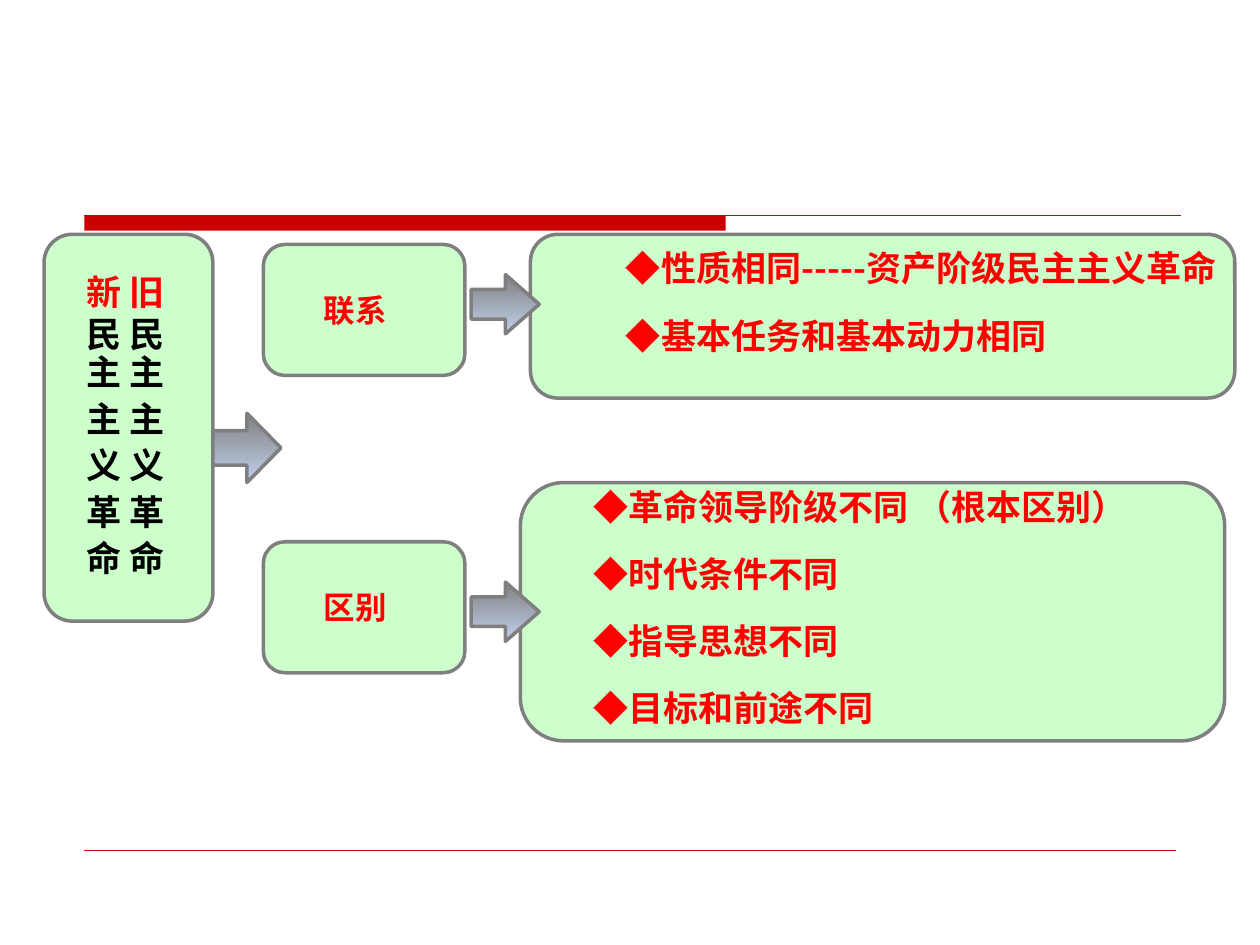
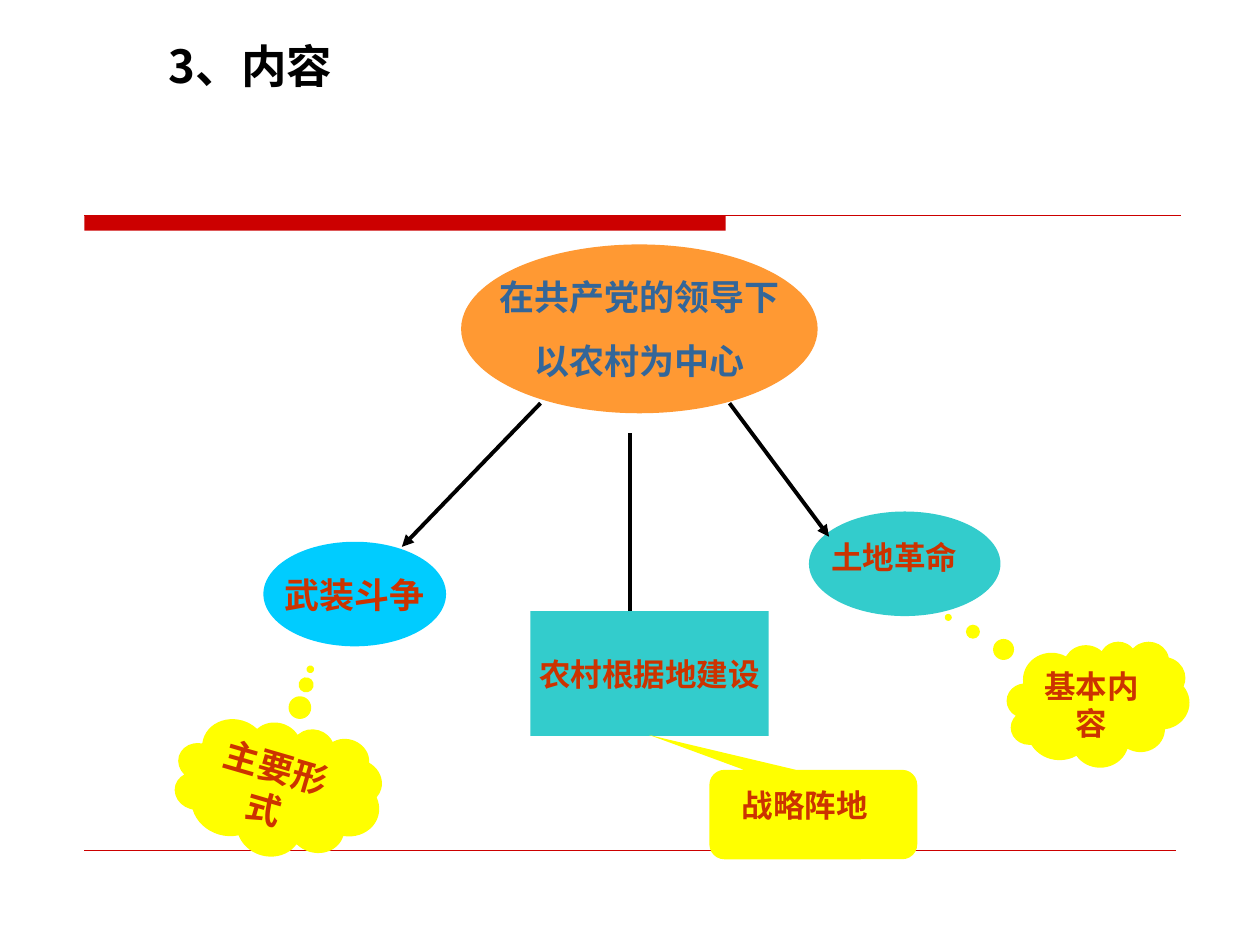
from lxml import etree
from pptx import Presentation
from pptx.dml.color import RGBColor
from pptx.enum.shapes import MSO_CONNECTOR, MSO_SHAPE
from pptx.enum.text import MSO_ANCHOR, PP_ALIGN
from pptx.oxml.ns import qn
from pptx.util import Inches, Pt

BAND_RED = RGBColor(0xCC, 0x00, 0x00)
RED = RGBColor(0xFF, 0x00, 0x00)
BRICK = RGBColor(0xCC, 0x33, 0x00)
BLACK = RGBColor(0x00, 0x00, 0x00)
WHITE = RGBColor(0xFF, 0xFF, 0xFF)
GRAY = RGBColor(0x7F, 0x7F, 0x7F)
PALE_BLUE = RGBColor(0xC2, 0xD1, 0xED)
PALE_GREEN = RGBColor(0xCC, 0xFF, 0xCC)
ORANGE = RGBColor(0xFF, 0x99, 0x33)
STEEL = RGBColor(0x33, 0x66, 0x99)
TEAL = RGBColor(0x33, 0xCC, 0xCC)
SKY = RGBColor(0x00, 0xCC, 0xFF)
YELLOW = RGBColor(0xFF, 0xFF, 0x00)

CJK_FONT = "Noto Sans CJK SC"
TITLE_ONLY, BLANK = 5, 6


def add_line(s, x1, y1, x2, y2, color, width, arrow=False):
    line = s.shapes.add_connector(MSO_CONNECTOR.STRAIGHT, Inches(x1), Inches(y1),
                                  Inches(x2), Inches(y2))
    line.line.color.rgb = color
    line.line.width = Pt(width)
    if arrow:
        etree.SubElement(line.line._get_or_add_ln(), qn("a:tailEnd"), type="triangle")
    etree.SubElement(line._element.spPr, qn("a:effectLst"))


def add_box(s, kind, x, y, w, h, fill, outline=None, adj=()):
    sp = s.shapes.add_shape(kind, Inches(x), Inches(y), Inches(w), Inches(h))
    sp.shadow.inherit = False
    if fill is not None:
        sp.fill.solid()
        sp.fill.fore_color.rgb = fill
    if outline is None:
        sp.line.fill.background()
    else:
        sp.line.color.rgb = outline
        sp.line.width = Pt(2)
    for i, value in enumerate(adj):
        sp.adjustments[i] = value
    return sp


def add_text_box(s, x, y, w, h):
    return s.shapes.add_textbox(Inches(x), Inches(y), Inches(w), Inches(h))


def write(sp, lines, size, color, font="Arial", align=PP_ALIGN.LEFT,
          anchor=MSO_ANCHOR.TOP, wrap=True, spacing=1.0, before=0):
    """Fill a shape with bold paragraphs; spacing is in multiples of 1.2 x size."""
    tf = sp.text_frame
    tf.word_wrap = wrap
    tf.vertical_anchor = anchor
    for i, text in enumerate(lines):
        p = tf.paragraphs[0] if i == 0 else tf.add_paragraph()
        p.text = text
        p.alignment = align
        p.line_spacing = Pt(round(size * 1.2 * spacing, 1))
        p.space_before = Pt(before if i else 0)
        p.font.size = Pt(size)
        p.font.bold = True
        p.font.color.rgb = color
        p.font.name = font
        etree.SubElement(p._p.pPr.find(qn("a:defRPr")), qn("a:ea"), typeface=CJK_FONT)
    return tf


def write_centered(sp, lines, size, color, font, wrap=False, anchor=MSO_ANCHOR.MIDDLE):
    write(sp, lines, size, color, font, PP_ALIGN.CENTER, anchor, wrap, before=12.5)


def add_frame(s):
    """Red band under the title area and thin rule at the foot."""
    add_box(s, MSO_SHAPE.RECTANGLE, 0.67, 1.71, 5.09, 0.12, BAND_RED)
    add_line(s, 0.67, 1.71, 9.37, 1.71, BAND_RED, 0.75)
    add_line(s, 0.67, 6.75, 9.33, 6.75, BAND_RED, 0.25)


def add_panel(s, x, y, w, h):
    return add_box(s, MSO_SHAPE.ROUNDED_RECTANGLE, x, y, w, h, PALE_GREEN, GRAY, [0.167])


def add_label(s, y, text):
    tf = write(add_panel(s, 2.09, y, 1.6, 1.04), [text], 18, RED,
               anchor=MSO_ANCHOR.MIDDLE)
    tf.margin_left = Inches(0.43)


def add_points(s, x, y, w, h, points):
    write(add_text_box(s, x, y, w, h), ["◆" + point for point in points], 20, RED,
          CJK_FONT, spacing=1.39, before=5)


def add_block_arrow(s, x, y, h, head):
    sp = add_box(s, MSO_SHAPE.RIGHT_ARROW, x, y, 0.54, h, None, GRAY, [0.5, head])
    sp.fill.gradient()
    sp.fill.gradient_angle = 270
    for stop, color in zip(sp.fill.gradient_stops, (GRAY, PALE_BLUE)):
        stop.color.rgb = color


def build_comparison(prs):
    s = prs.slides.add_slide(prs.slide_layouts[BLANK])
    add_frame(s)
    add_panel(s, 0.35, 1.86, 1.34, 3.07)
    add_label(s, 1.94, "联系")
    add_label(s, 4.3, "区别")
    add_panel(s, 4.21, 1.86, 5.59, 1.3)
    add_points(s, 4.87, 1.78, 5.13, 1.04,
               ["性质相同-----资产阶级民主主义革命", "基本任务和基本动力相同"])
    add_panel(s, 4.13, 3.83, 5.59, 2.05)
    add_points(s, 4.61, 3.67, 5.05, 2.2,
               ["革命领导阶级不同 （根本区别）", "时代条件不同", "指导思想不同",
                "目标和前途不同"])
    for x, y, h, head in ((3.74, 2.18, 0.47, 0.57), (3.74, 4.62, 0.47, 0.57),
                          (1.69, 3.28, 0.55, 0.5)):
        add_block_arrow(s, x, y, h, head)

    names = add_box(s, MSO_SHAPE.RECTANGLE, 0.59, 2.1, 0.94, 2.55, PALE_GREEN)
    tf = write(names, ["新 旧"] + [f"{c} {c}" for c in "民主主义革命"], 20, BLACK,
               spacing=0.9, before=5)
    heading, first, second = tf.paragraphs[:3]
    heading.font.color.rgb = RED
    heading.line_spacing = first.line_spacing = Pt(24)
    first.space_before = second.space_before = Pt(0)


def build_content(prs):
    s = prs.slides.add_slide(prs.slide_layouts[TITLE_ONLY])
    add_frame(s)
    title = s.shapes.title
    title.left, title.top = Inches(1.06), Inches(0.36)
    title.width, title.height = Inches(1.89), Inches(0.71)
    title.fill.solid()
    title.fill.fore_color.rgb = WHITE
    tf = write(title, ["3、内容"], 26, BLACK, CJK_FONT, spacing=0.75)
    tf.margin_left = Inches(0.28)

    core = add_box(s, MSO_SHAPE.OVAL, 3.66, 1.94, 2.83, 1.34, ORANGE)
    write_centered(core, ["在共产党的领导下", "以农村为中心"], 20, STEEL, "Times New Roman")
    add_line(s, 5, 3.44, 5, 4.98, BLACK, 2.25, arrow=True)
    base = add_box(s, MSO_SHAPE.RECTANGLE, 4.21, 4.85, 1.89, 0.99, TEAL)
    write_centered(base, ["农村根据地建设"], 18, BRICK, "Arial")
    add_box(s, MSO_SHAPE.OVAL, 6.42, 4.06, 1.52, 0.83, TEAL)
    struggle = add_box(s, MSO_SHAPE.OVAL, 2.09, 4.3, 1.45, 0.83, SKY)
    write_centered(struggle, ["武装斗争"], 20, BRICK, "Times New Roman")
    add_box(s, MSO_SHAPE.ROUNDED_RECTANGULAR_CALLOUT, 5.63, 6.11, 1.65, 0.71, YELLOW,
            adj=[-0.79, -0.89, 0.167])
    add_line(s, 5.79, 3.2, 6.58, 4.26, BLACK, 2.25, arrow=True)
    add_line(s, 4.29, 3.2, 3.19, 4.34, BLACK, 2.25, arrow=True)

    form = add_box(s, MSO_SHAPE.CLOUD_CALLOUT, 1.38, 5.72, 1.65, 1.08, YELLOW,
                   adj=[-0.01, -0.91])
    form.rotation = 16.2
    write_centered(form, ["主要形式"], 20, BRICK, "Times New Roman", True, MSO_ANCHOR.TOP)
    basis = add_box(s, MSO_SHAPE.CLOUD_CALLOUT, 7.99, 5.09, 1.45, 1, YELLOW,
                    adj=[-0.82, -0.69])
    write_centered(basis, ["基本内容"], 18, BRICK, "Arial", True, MSO_ANCHOR.TOP)
    write(add_text_box(s, 6.5, 4.22, 1.26, 0.4), ["土地革命"], 18, BRICK)
    write(add_text_box(s, 5.79, 6.19, 1.2, 0.4), ["战略阵地"], 18, BRICK, wrap=False)


def main():
    prs = Presentation()
    prs.slide_width, prs.slide_height = Inches(10), Inches(7.5)
    build_comparison(prs)
    build_content(prs)
    prs.save("out.pptx")


if __name__ == "__main__":
    main()
